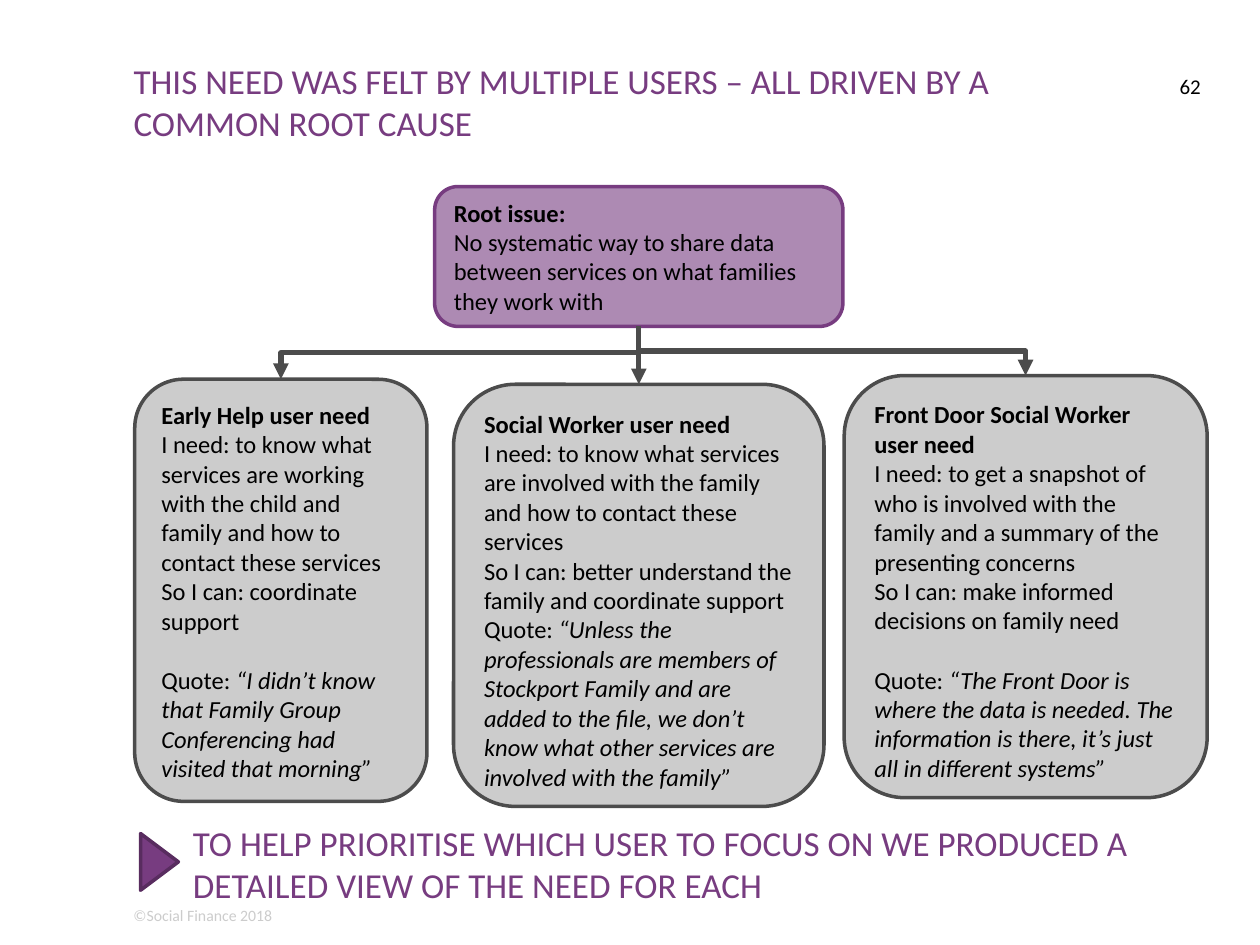
from pptx import Presentation
from pptx.dml.color import RGBColor
from pptx.enum.shapes import MSO_CONNECTOR, MSO_SHAPE
from pptx.enum.text import MSO_ANCHOR, MSO_AUTO_SIZE, PP_ALIGN
from pptx.oxml.ns import qn
from pptx.util import Pt
from lxml import etree

COLORS = {
    "purple": "773C80",
    "lilac": "AD8AB3",
    "plum": "582C5F",
    "grey": "CCCCCC",
    "dark": "4C4C4C",
    "black": "000000",
}
NO_INSETS = {"margin_left": 0, "margin_top": 0, "margin_right": 0, "margin_bottom": 0}
FRAME_FORMAT = {"word_wrap": True, "auto_size": MSO_AUTO_SIZE.NONE}
HEADING = {"size": Pt(20), "color": "purple"}
BODY = {"size": Pt(14), "color": "black"}
GAP = Pt(17)

# Each need: box, name, need and goal, quote, space above the quote
NEEDS = [
    ((77, 216.7, 167, 241.2), "Early Help user need",
     ["I need: to know what services are working with the child and family "
      "and how to contact these services",
      "So I can: coordinate support"],
     "“I didn’t know that Family Group Conferencing had visited that morning”", GAP),
    ((259.2, 219.6, 211.7, 241.2), "Social Worker user need",
     ["I need: to know what services are involved with the family "
      "and how to contact these services",
      "So I can: better understand the family and coordinate support"],
     "“Unless the professionals are members of Stockport Family and are added to the file, "
     "we don’t know what other services are involved with the family”", 0),
    ((482.4, 214.6, 207.4, 241.2), "Front Door Social Worker user need",
     ["I need: to get a snapshot of who is involved with the family "
      "and a summary of the presenting concerns",
      "So I can: make informed decisions on family need"],
     "“The Front Door is where the data is needed. The information is there, "
     "it’s just all in different systems”", GAP),
]


def rgb(name):
    return RGBColor.from_string(COLORS[name])


def apply(target, values):
    for name, value in values.items():
        setattr(target, name, value)


def place(shape, box):
    apply(shape, dict(zip(("left", "top", "width", "height"), map(Pt, box))))


def write(paragraph, text, size, color, **font_format):
    run = paragraph.add_run()
    run.text = text
    apply(run.font, {"name": "Calibri", "size": size, **font_format})
    run.font.color.rgb = rgb(color)


def add_text(slide, box, text, style, align=PP_ALIGN.LEFT):
    label = slide.shapes.add_textbox(*map(Pt, box))
    frame = label.text_frame
    apply(frame, {**FRAME_FORMAT, **NO_INSETS})
    frame.paragraphs[0].alignment = align
    write(frame.paragraphs[0], text, **style)


def add_panel(slide, kind, box, fill, outline):
    panel = slide.shapes.add_shape(kind, *map(Pt, box))
    panel.shadow.inherit = False
    panel.fill.solid()
    panel.fill.fore_color.rgb = rgb(fill)
    panel.line.color.rgb = rgb(outline)
    panel.line.width = Pt(2)
    return panel


def add_card(slide, box, fill, outline, anchor, heading, lines):
    card = add_panel(slide, MSO_SHAPE.ROUNDED_RECTANGLE, box, fill, outline)
    frame = card.text_frame
    apply(frame, {**FRAME_FORMAT, "vertical_anchor": anchor})
    write(frame.paragraphs[0], heading, bold=True, **BODY)
    for line in lines:
        write(frame.add_paragraph(), line, **BODY)
    for paragraph in frame.paragraphs:
        paragraph.alignment = PP_ALIGN.LEFT
    return card


def add_need(slide, box, name, lines, quote, gap):
    need = add_card(slide, box, "grey", "dark", MSO_ANCHOR.TOP, name, lines)
    saying = need.text_frame.add_paragraph()
    apply(saying, {"alignment": PP_ALIGN.LEFT, "space_before": gap})
    write(saying, "Quote: ", **BODY)
    write(saying, quote, italic=True, **BODY)
    return need


def add_branch(slide, root, need):
    start_x, start_y = root.left + root.width // 2, root.top + root.height
    end_x, end_y = need.left + need.width // 2, need.top
    across, down = abs(end_x - start_x), end_y - start_y
    if across < Pt(1):
        branch = slide.shapes.add_connector(
            MSO_CONNECTOR.STRAIGHT, start_x, start_y, end_x, end_y)
        branch.begin_connect(root, 2)
        branch.end_connect(need, 0)
    else:
        # A turned elbow leaves downwards: its frame is down wide and across high
        left = (start_x + end_x - down) // 2
        top = (start_y + end_y - across) // 2
        to_right = end_x > start_x
        near, far = (left + down, left) if to_right else (left, left + down)
        branch = slide.shapes.add_connector(
            MSO_CONNECTOR.ELBOW, near, top, far, top + across)
        turn = 270 if to_right else 90
        branch._element.spPr.find(qn("a:xfrm")).set("rot", str(turn * 60000))
    branch.line.color.rgb = rgb("dark")
    branch.line.width = Pt(3)
    etree.SubElement(branch.line._get_or_add_ln(), qn("a:tailEnd"), type="triangle")
    etree.SubElement(branch._element.spPr, qn("a:effectLst"))


def add_header(slide, box):
    left, top, width, height = box
    title = slide.shapes.title
    place(title, (left, top, width - 39, height))
    apply(title.text_frame,
          {**FRAME_FORMAT, **NO_INSETS, "vertical_anchor": MSO_ANCHOR.TOP})
    heading = title.text_frame.paragraphs[0]
    heading.alignment = PP_ALIGN.LEFT
    write(heading, "THIS NEED WAS FELT BY MULTIPLE USERS – "
                   "ALL DRIVEN BY A COMMON ROOT CAUSE", **HEADING)
    add_text(slide, (left + width - 24, top + 8, 24, 29), "62",
             {"size": Pt(12), "color": "black"}, PP_ALIGN.RIGHT)


def add_tree(slide, root_box):
    root = add_card(
        slide, root_box, "lilac", "purple", MSO_ANCHOR.MIDDLE, "Root issue:",
        ["No systematic way to share data between services "
         "on what families they work with"])
    for need in NEEDS:
        add_branch(slide, root, add_need(slide, *need))


def add_conclusion(slide, box):
    left, top, width, height = box
    pointer = add_panel(slide, MSO_SHAPE.ISOSCELES_TRIANGLE,
                        (left, top + 12.3, 32.4, 21.6), "purple", "plum")
    pointer.rotation = 90
    add_text(slide, (left + 35.3, top, width - 35.3, height),
             "TO HELP PRIORITISE WHICH USER TO FOCUS ON WE PRODUCED "
             "A DETAILED VIEW OF THE NEED FOR EACH", HEADING)


def main():
    deck = Presentation()
    apply(deck, {"slide_width": Pt(720), "slide_height": Pt(540)})
    slide = deck.slides.add_slide(deck.slide_layouts[5])
    # Copyright line
    add_text(slide, (76.3, 517.7, 607.7, 10.8), "©Social Finance 2018",
             {"size": Pt(9), "color": "grey"})
    # Title and page number
    add_header(slide, (76.3, 33.8, 609.9, 53.3))
    # Root issue and the needs it drives
    add_tree(slide, (248.4, 106.6, 233.3, 79.9))
    # Conclusion
    add_conclusion(slide, (74.9, 469.4, 619.9, 72.7))
    deck.save("out.pptx")


if __name__ == "__main__":
    main()
